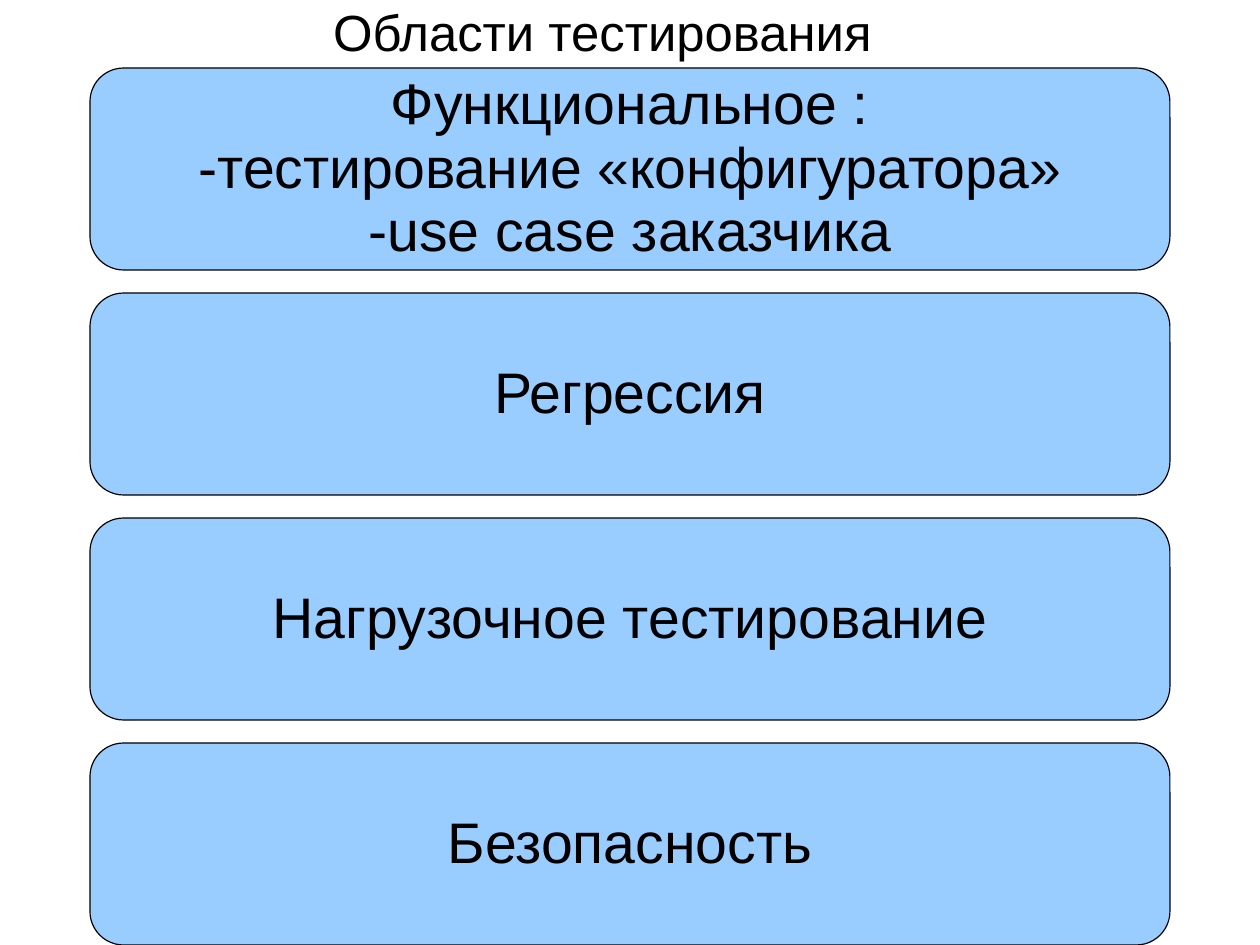
from pptx import Presentation
from pptx.dml.color import RGBColor
from pptx.enum.shapes import MSO_SHAPE as SHAPE
from pptx.enum.text import MSO_ANCHOR as ANCHOR, MSO_AUTO_SIZE as AUTO, PP_ALIGN as ALIGN
from pptx.util import Emu, Pt

PX = 8000  # EMU per px
BLACK = RGBColor(0x00, 0x00, 0x00)
SKY = RGBColor(0x99, 0xCC, 0xFF)

AREAS = [
    ["Функциональное :", "-тестирование «конфигуратора»", "-use case заказчика"],
    ["Регрессия"],
    ["Нагрузочное тестирование"],
    ["Безопасность"],
]


def px(n):
    return Emu(n * PX)


def write(tf, lines, size, align, anchor, wrap):
    tf.auto_size = AUTO.NONE
    tf.word_wrap = wrap
    tf.vertical_anchor = anchor
    for i, line in enumerate(lines):
        p = tf.add_paragraph() if i else tf.paragraphs[0]
        p.alignment = align
        p.line_spacing = 0.93
        r = p.add_run()
        r.text = line
        r.font.name = "Arial"
        r.font.size = Pt(size)
        r.font.color.rgb = BLACK


def add_title(s, text, x, y, w, h, indent):
    sp = s.shapes.title
    sp.left, sp.top, sp.width, sp.height = map(px, (x, y, w, h))
    write(sp.text_frame, [text], size=32, align=ALIGN.LEFT, anchor=ANCHOR.TOP, wrap=True)
    sp.text_frame.margin_left = px(indent)


def add_areas(s, areas, x, y, w, h, gap):
    """Stack equal rounded boxes inside the given region."""
    box_h = (h - gap * (len(areas) - 1)) // len(areas)
    for i, lines in enumerate(areas):
        top = y + i * (box_h + gap)
        sp = s.shapes.add_shape(SHAPE.ROUNDED_RECTANGLE, px(x), px(top), px(w), px(box_h))
        sp.shadow.inherit = False
        sp.fill.solid()
        sp.fill.fore_color.rgb = SKY
        sp.line.color.rgb = BLACK
        sp.line.width = Pt(0.75)
        write(sp.text_frame, lines, size=36, align=ALIGN.CENTER, anchor=ANCHOR.MIDDLE, wrap=False)


def main():
    prs = Presentation()
    prs.slide_width, prs.slide_height = px(1260), px(945)
    s = prs.slides.add_slide(prs.slide_layouts[5])
    add_title(s, "Области тестирования", x=112, y=0, w=1103, h=68, indent=221)
    add_areas(s, AREAS, x=90, y=68, w=1080, h=877, gap=23)
    prs.save("out.pptx")


if __name__ == "__main__":
    main()
